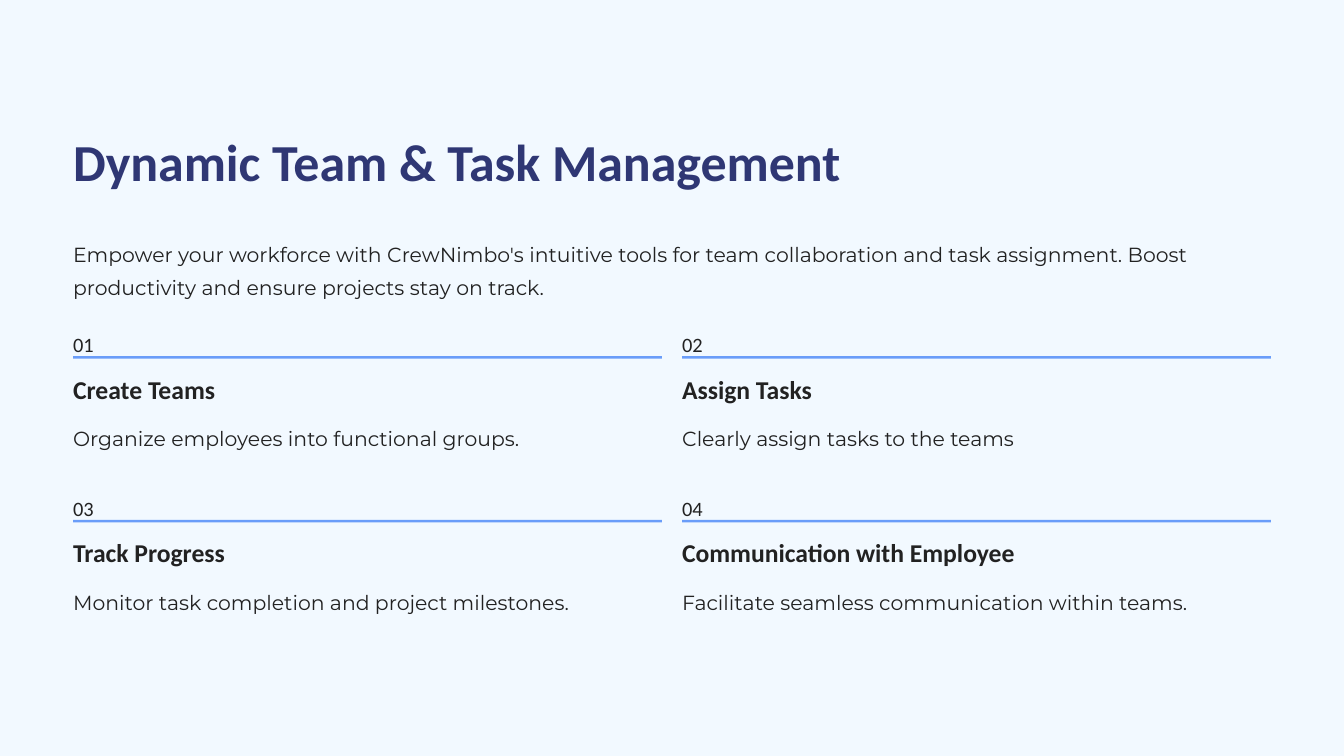
from dataclasses import dataclass

from pptx import Presentation
from pptx.dml.color import RGBColor
from pptx.enum.shapes import MSO_SHAPE
from pptx.util import Inches, Pt


@dataclass(frozen=True)
class TextStyle:
    font: str
    size: float
    color: str
    leading: float
    bold: bool = False


@dataclass(frozen=True)
class Theme:
    background: str = "F2F9FF"
    rule: str = "6A9DF9"
    title: TextStyle = TextStyle("Calibri", 44.5, "2F3774", 55.5, True)
    body: TextStyle = TextStyle("Montserrat", 17.5, "222222", 28.5)
    number: TextStyle = TextStyle("Calibri", 17.5, "222222", 28.5)
    heading: TextStyle = TextStyle("Calibri", 22, "222222", 27.5, True)


class SlideBuilder:
    def __init__(self, deck, theme):
        self.theme = theme
        self.page = deck.slides.add_slide(deck.slide_layouts[6])
        fill = self.page.background.fill
        fill.solid()
        fill.fore_color.rgb = RGBColor.from_string(theme.background)

    def text(self, words, style, left, top, width, height, wrap=False):
        box = self.page.shapes.add_textbox(
            Inches(left), Inches(top), Inches(width), Inches(height))
        frame = box.text_frame
        frame.word_wrap = wrap
        frame.margin_left = frame.margin_right = Inches(0)
        frame.margin_top = frame.margin_bottom = Inches(0)
        para = frame.paragraphs[0]
        para.line_spacing = Pt(style.leading)
        span = para.add_run()
        span.text = words
        span.font.name = style.font
        span.font.size = Pt(style.size)
        span.font.bold = style.bold
        span.font.color.rgb = RGBColor.from_string(style.color)

    def rule(self, left, top, width, height):
        bar = self.page.shapes.add_shape(
            MSO_SHAPE.RECTANGLE,
            Inches(left), Inches(top), Inches(width), Inches(height))
        bar.shadow.inherit = False
        bar.fill.solid()
        bar.fill.fore_color.rgb = RGBColor.from_string(self.theme.rule)
        bar.line.fill.background()

    def feature(self, number, heading, detail, left, top, width):
        theme = self.theme
        self.text(f"{number:02d}", theme.number, left, top, 0.25, 0.31)
        self.rule(left, top + 0.39, width, 0.03)
        self.text(heading, theme.heading, left, top + 0.58, 5.05, 0.39)
        self.text(detail, theme.body, left, top + 1.12, width, 0.4)


FEATURES = [
    ("Create Teams", "Organize employees into functional groups."),
    ("Assign Tasks", "Clearly assign tasks to the teams"),
    ("Track Progress", "Monitor task completion and project milestones."),
    ("Communication with Employee",
     "Facilitate seamless communication within teams."),
]
INTRO = (
    "Empower your workforce with CrewNimbo's intuitive tools for team "
    "collaboration and task assignment. Boost productivity and ensure "
    "projects stay on track."
)
MARGIN = 0.87
COLUMN_WIDTH = 7.01
COLUMN_STEP = 7.25
FIRST_ROW = 3.85
ROW_STEP = 1.95


def main():
    deck = Presentation()
    deck.slide_width = Inches(16)
    deck.slide_height = Inches(9)
    theme = Theme()
    slide = SlideBuilder(deck, theme)
    slide.text("Dynamic Team & Task Management", theme.title,
               MARGIN, 1.51, 11.31, 0.78)
    slide.text(INTRO, theme.body, MARGIN, 2.78, 14.26, 0.79, wrap=True)
    for index, (heading, detail) in enumerate(FEATURES):
        row, column = divmod(index, 2)
        slide.feature(index + 1, heading, detail,
                      MARGIN + column * COLUMN_STEP,
                      FIRST_ROW + row * ROW_STEP, COLUMN_WIDTH)
    deck.save("out.pptx")


if __name__ == "__main__":
    main()
